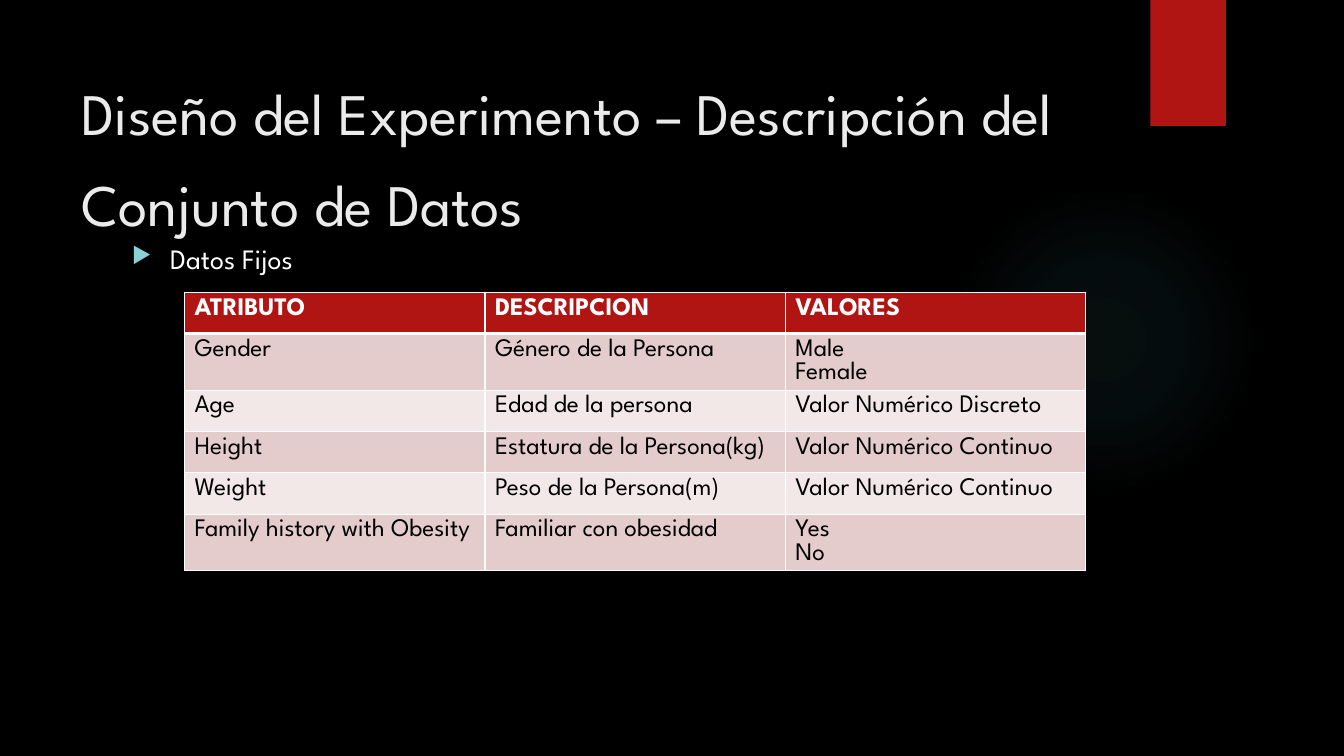
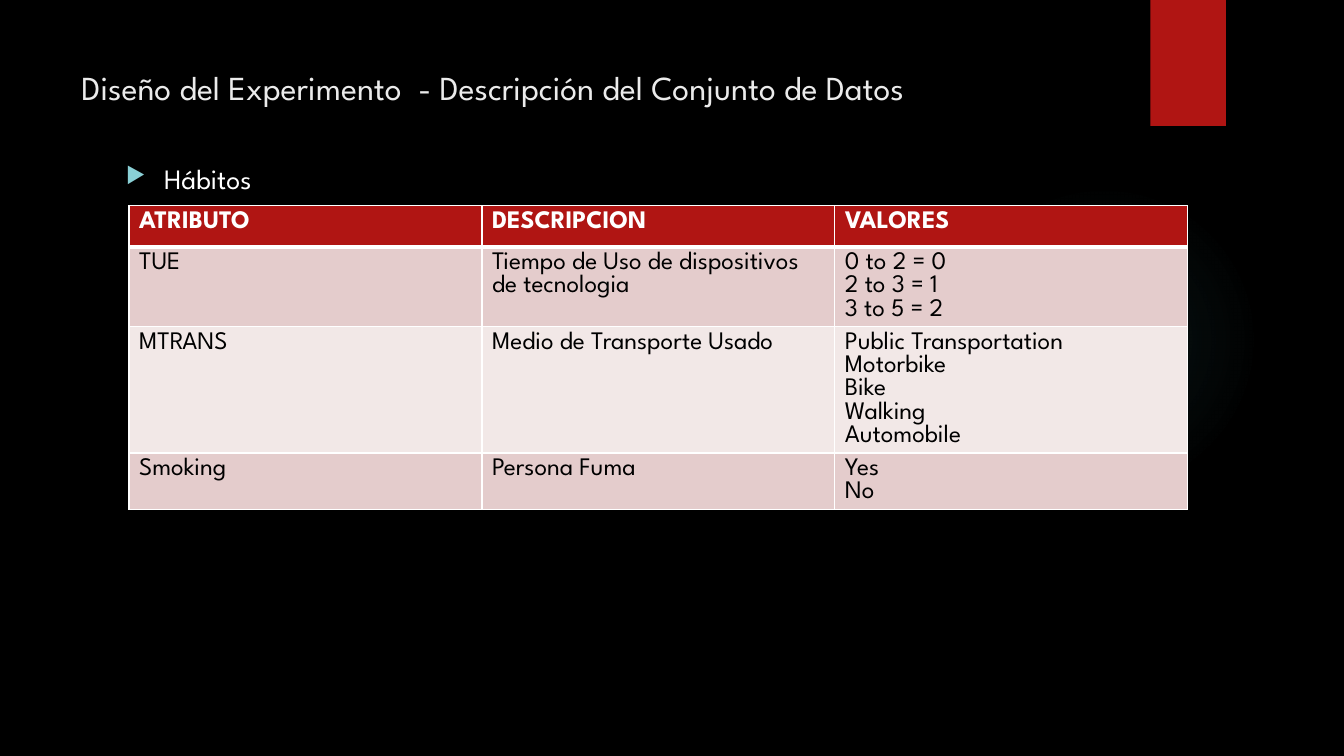
from dataclasses import dataclass

from lxml import etree
from pptx import Presentation
from pptx import util as u
from pptx.dml.color import RGBColor
from pptx.enum import shapes, text
from pptx.oxml import ns

FONT = "League Spartan"
COLORS = {
    "background": "000000",
    "glow": "50B9C1",
    "accent": "B01513",
    "title": "EBEBEB",
    "bullet": "8AD0D6",
    "light": "FFFFFF",
    "dark": "000000",
    "band_odd": "E4CCCC",
    "band_even": "F2E8E7",
}
GLOW_STOPS = ((0, 7), (36, 6), (69, 0))  # position and opacity, percent
HEADINGS = ("ATRIBUTO", "DESCRIPCION", "VALORES")
ROW_HEIGHT = 0.41
LINE_SPACING = 1.3


@dataclass(frozen=True)
class Area:
    left: float
    top: float
    width: float
    height: float

    def lengths(self) -> tuple:
        return tuple(u.Inches(side) for side in (self.left, self.top, self.width, self.height))


@dataclass(frozen=True)
class TablePage:
    title: str
    title_size: int
    title_area: Area
    topic: str
    topic_area: Area
    table_left: float
    table_top: float
    column_width: float
    rows: tuple


PAGES = (
    TablePage(
        "Diseño del Experimento – Descripción del Conjunto de Datos",
        42, Area(0.71, 0.5, 10.29, 1.53),
        "Datos Fijos", Area(1.21, 2.25, 9.78, 4.59),
        1.83, 2.9, 2.98,
        (
            ("Gender", "Género de la Persona", "Male\vFemale"),
            ("Age", "Edad de la persona", "Valor Numérico Discreto"),
            ("Height", "Estatura de la Persona(kg)", "Valor Numérico Continuo"),
            ("Weight", "Peso de la Persona(m)", "Valor Numérico Continuo"),
            ("Family history with Obesity", "Familiar con obesidad", "Yes\vNo"),
        ),
    ),
    TablePage(
        "Diseño del Experimento  - Descripción del Conjunto de Datos",
        24, Area(0.71, 0.5, 10.28, 0.74),
        "Hábitos", Area(1.15, 1.45, 9.78, 4.59),
        1.28, 2.04, 3.5,
        (
            ("TUE", "Tiempo de Uso de dispositivos de tecnologia",
             "0 to 2 = 0\n2 to 3 = 1\n3 to 5 = 2"),
            ("MTRANS", "Medio de Transporte Usado",
             "Public Transportation\nMotorbike\nBike\nWalking\nAutomobile"),
            ("Smoking", "Persona Fuma", "Yes\nNo"),
        ),
    ),
)


def color(name: str) -> RGBColor:
    return RGBColor.from_string(COLORS[name])


def add_element(parent, tag: str, **attributes):
    """Append a DrawingML element to parent."""
    values = {key: str(value) for key, value in attributes.items()}
    return etree.SubElement(parent, ns.qn(f"a:{tag}"), values)


def style_font(font, size: int, color_name: str, bold: bool = False) -> None:
    for key, value in {"name": FONT, "size": u.Pt(size), "bold": bold}.items():
        setattr(font, key, value)
    font.color.rgb = color(color_name)


def add_plain_shape(page, kind, area: Area, color_name: str):
    shape = page.shapes.add_shape(kind, *area.lengths())
    shape.shadow.inherit = False
    shape.line.fill.background()
    shape.fill.solid()
    shape.fill.fore_color.rgb = color(color_name)
    return shape


def add_backdrop(page) -> None:
    """Draw the faint round glow and the red tab shared by all pages."""
    glow = add_plain_shape(page, shapes.MSO_SHAPE.OVAL, Area(9.41, 1.83, 3.08, 3.08), "glow")
    properties = glow.element.spPr
    solid = properties.find(ns.qn("a:solidFill"))
    gradient = etree.Element(ns.qn("a:gradFill"), rotWithShape="1")
    stops = add_element(gradient, "gsLst")
    for position, opacity in GLOW_STOPS:
        stop = add_element(stops, "gs", pos=position * 1000)
        tint = add_element(stop, "srgbClr", val=COLORS["glow"])
        add_element(tint, "alpha", val=opacity * 1000)
    circle = add_element(gradient, "path", path="circle")
    add_element(circle, "fillToRect", l=50000, t=50000, r=50000, b=50000)
    properties.replace(solid, gradient)
    add_plain_shape(page, shapes.MSO_SHAPE.RECTANGLE, Area(11.41, 0, 0.75, 1.25), "accent")


def add_text(page, area: Area, words: str, size: int, color_name: str, bullet: bool = False) -> None:
    box = page.shapes.add_textbox(*area.lengths())
    frame = box.text_frame
    for key, value in {"word_wrap": True, "auto_size": text.MSO_AUTO_SIZE.NONE,
                       "vertical_anchor": text.MSO_ANCHOR.TOP}.items():
        setattr(frame, key, value)
    para = frame.paragraphs[0]
    para.line_spacing = LINE_SPACING
    if bullet:
        properties = para._p.get_or_add_pPr()
        indent = u.Inches(0.38)
        properties.set("marL", str(indent))
        properties.set("indent", str(-indent))
        tint = add_element(properties, "buClr")
        add_element(tint, "srgbClr", val=COLORS["bullet"])
        add_element(properties, "buSzPct", val=80000)
        add_element(properties, "buChar", char="▶")
    span = para.add_run()
    span.text = words
    style_font(span.font, size, color_name)


def add_borders(cell, row: int) -> None:
    """Outline a cell in white, thicker between the header and the body."""
    properties = cell._tc.get_or_add_tcPr()
    widths = {"L": 1, "R": 1, "T": 3 if row == 1 else 1, "B": 3 if row == 0 else 1}
    for side, width in widths.items():
        line = add_element(properties, f"ln{side}", w=u.Pt(width))
        fill = add_element(line, "solidFill")
        add_element(fill, "srgbClr", val=COLORS["light"])


def add_attribute_table(page, content: TablePage) -> None:
    rows = (HEADINGS, *content.rows)
    area = Area(content.table_left, content.table_top,
                content.column_width * len(HEADINGS), ROW_HEIGHT * len(rows))
    table = page.shapes.add_table(len(rows), len(HEADINGS), *area.lengths()).table
    table.horz_banding = False
    for row, values in enumerate(rows):
        header = row == 0
        fill_name = "accent" if header else "band_odd" if row % 2 else "band_even"
        for column, value in enumerate(values):
            cell = table.cell(row, column)
            cell.text = value
            add_borders(cell, row)
            cell.fill.solid()
            cell.fill.fore_color.rgb = color(fill_name)
            for para in cell.text_frame.paragraphs:
                for span in para.runs:
                    style_font(span.font, 18, "light" if header else "dark", header)


def add_table_page(deck, content: TablePage) -> None:
    page = deck.slides.add_slide(deck.slide_layouts[6])
    add_backdrop(page)
    add_text(page, content.title_area, content.title, content.title_size, "title")
    add_text(page, content.topic_area, content.topic, 20, "light", bullet=True)
    add_attribute_table(page, content)


def main() -> None:
    deck = Presentation()
    deck.slide_width, deck.slide_height = u.Inches(13.33), u.Inches(7.5)
    backdrop = deck.slide_master.background.fill
    backdrop.solid()
    backdrop.fore_color.rgb = color("background")
    for content in PAGES:
        add_table_page(deck, content)
    deck.save("out.pptx")


if __name__ == "__main__":
    main()
